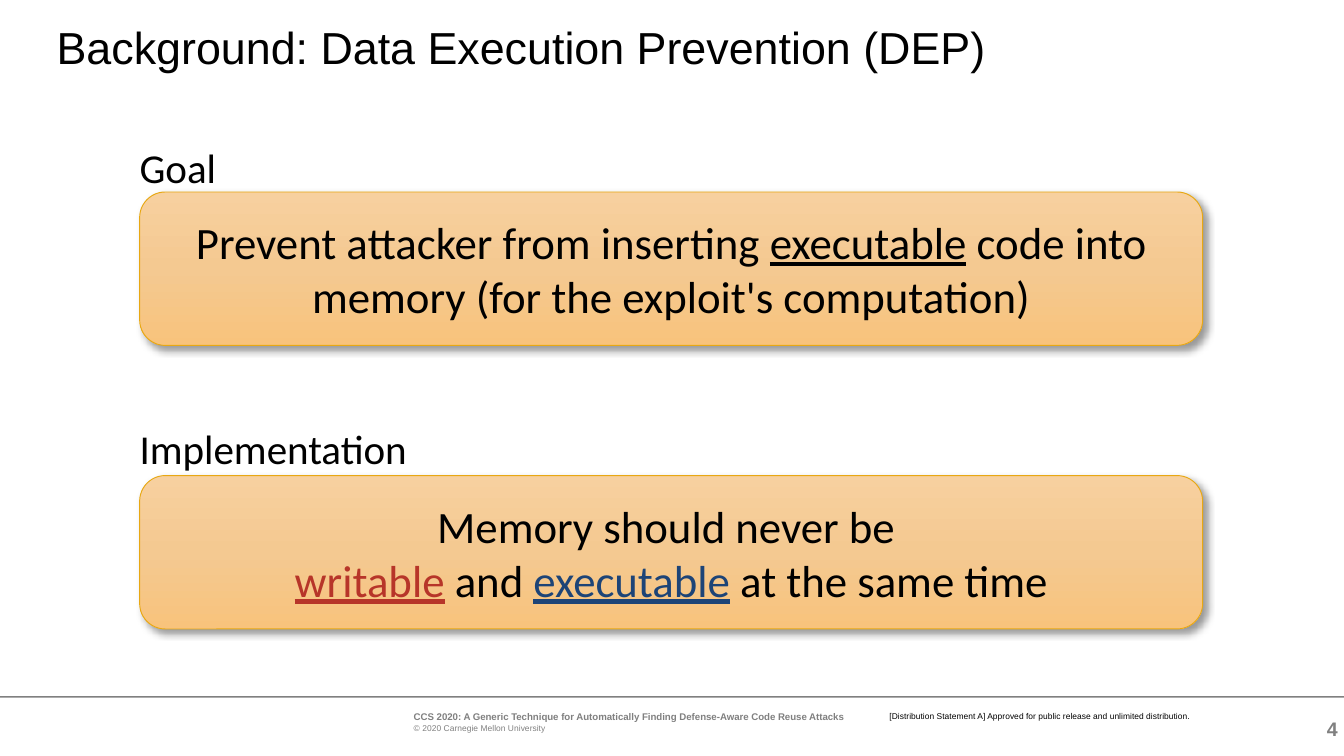
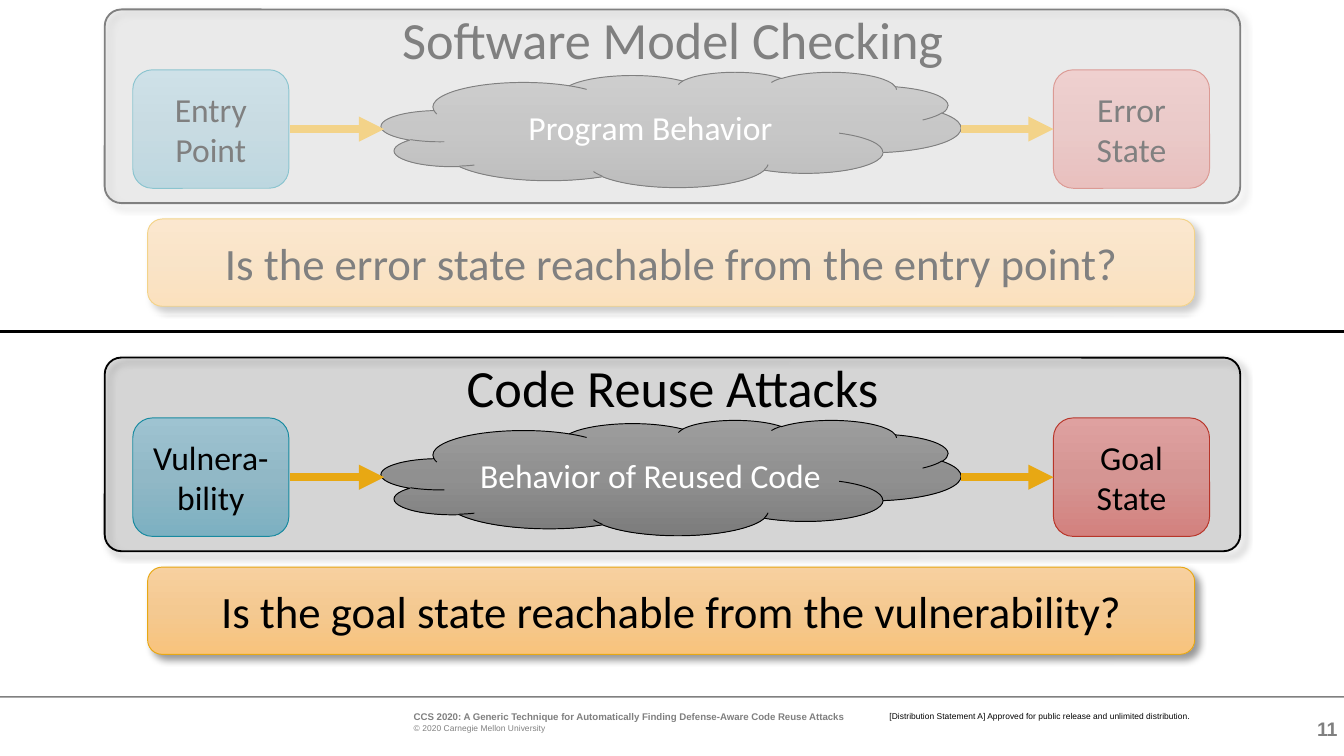
import pptx
import pptx.util
import pptx.dml.color
import pptx.enum.shapes
import pptx.enum.text
import pptx.oxml
import pptx.oxml.ns

Cm = pptx.util.Cm
Pt = pptx.util.Pt
RGB = pptx.dml.color.RGBColor
Kind = pptx.enum.shapes.MSO_SHAPE
Align = pptx.enum.text.PP_ALIGN
Anchor = pptx.enum.text.MSO_ANCHOR
qn = pptx.oxml.ns.qn
NS = pptx.oxml.ns.nsdecls("a")

BLACK = RGB(0x00, 0x00, 0x00)
WHITE = RGB(0xFF, 0xFF, 0xFF)
GREY = RGB(0x80, 0x80, 0x80)
GOLD = RGB(0xE8, 0xA8, 0x13)
TEAL = RGB(0x17, 0x8A, 0xA0)
RED = RGB(0xB7, 0x35, 0x29)
BLUE = RGB(0x1D, 0x44, 0x77)
SAND = (RGB(0xF7, 0xD0, 0x9F), RGB(0xF4, 0xC9, 0x91), RGB(0xF8, 0xC3, 0x7C))
AQUA = (RGB(0x9E, 0xC3, 0xD1), RGB(0x91, 0xB8, 0xC6), RGB(0x7C, 0xB0, 0xC1))
ROSE = (RGB(0xDF, 0xA1, 0xA0), RGB(0xD5, 0x95, 0x93), RGB(0xD3, 0x81, 0x7E))
SMOKE = (RGB(0x9D, 0x9D, 0x9D), RGB(0x90, 0x90, 0x90), RGB(0x7C, 0x7C, 0x7C))

WIDTH, HEIGHT = 25.4, 14.29


def write(shape, text, size=18, font="Calibri", color=BLACK, bold=False,
          align=Align.LEFT, anchor=Anchor.TOP, inset=(0.25, 0.13), space=None):
    frame = shape.text_frame
    frame.word_wrap = True
    frame.auto_size = pptx.enum.text.MSO_AUTO_SIZE.NONE
    frame.vertical_anchor = anchor
    frame.margin_left = frame.margin_right = Cm(inset[0])
    frame.margin_top = frame.margin_bottom = Cm(inset[1])
    lines = [[(text, {})]] if isinstance(text, str) else text
    for index, line in enumerate(lines):
        para = frame.add_paragraph() if index else frame.paragraphs[0]
        para.alignment = align
        if space:
            para.line_spacing = space
        for part, extra in line:
            if part == "\n":
                para.add_line_break()
                continue
            run = para.add_run()
            run.text = part
            run.font.name = font
            run.font.size = Pt(extra.get("size", size))
            run.font.bold = extra.get("bold", bold)
            run.font.underline = extra.get("under", False)
            run.font.color.rgb = extra.get("color", color)


def label(shapes, box, text, **style):
    item = shapes.add_textbox(*map(Cm, box))
    write(item, text, **style)


def tint(shape, shades):
    stops = "".join(f'<a:gs pos="{50000 * i}"><a:srgbClr val="{shade}"/></a:gs>'
                    for i, shade in enumerate(shades))
    shape.element.spPr.insert(2, pptx.oxml.parse_xml(
        f'<a:gradFill {NS} rotWithShape="1"><a:gsLst>{stops}</a:gsLst>'
        '<a:lin ang="5400000" scaled="0"/></a:gradFill>'))


def flat(shape, color, alpha=100):
    shape.fill.solid()
    shape.fill.fore_color.rgb = color
    if alpha < 100:
        node = shape.element.spPr.find(qn("a:solidFill"))[0]
        node.append(pptx.oxml.parse_xml(f'<a:alpha {NS} val="{alpha * 1000}"/>'))


def shade(shape):
    shape.element.spPr.find(qn("a:effectLst")).append(pptx.oxml.parse_xml(
        f'<a:outerShdw {NS} blurRad="{Pt(4)}" dist="{Pt(3)}" dir="2700000" '
        'algn="tl" rotWithShape="0"><a:srgbClr val="000000">'
        '<a:alpha val="40000"/></a:srgbClr></a:outerShdw>'))


def block(shapes, kind, box, fill, edge=None, width=0.5, alpha=100, drop=False):
    shape = shapes.add_shape(kind, *map(Cm, box))
    if isinstance(fill, RGB):
        flat(shape, fill, alpha)
    else:
        tint(shape, fill)
    if edge is None:
        shape.line.fill.background()
    else:
        shape.line.color.rgb = edge
        shape.line.width = Pt(width)
    shape.shadow.inherit = False
    if drop:
        shade(shape)
    return shape


def card(shapes, box, text, fill, edge, kind=Kind.ROUNDED_RECTANGLE, drop=False, **style):
    shape = block(shapes, kind, box, fill, edge, drop=drop)
    write(shape, text, align=Align.CENTER, anchor=Anchor.MIDDLE, **style)


def line(shapes, left, right, top, color, width, arrow=False):
    item = shapes.add_connector(pptx.enum.shapes.MSO_CONNECTOR.STRAIGHT,
                                Cm(left), Cm(top), Cm(right), Cm(top))
    item.line.color.rgb = color
    item.line.width = Pt(width)
    if arrow:
        item.element.spPr.find(qn("a:ln")).append(
            pptx.oxml.parse_xml(f'<a:tailEnd {NS} type="triangle"/>'))
    item.element.spPr.append(pptx.oxml.parse_xml(f"<a:effectLst {NS}/>"))


def footer(slide, number):
    shapes, top = slide.shapes, 13.44
    block(shapes, Kind.RECTANGLE, (0, 13.16, WIDTH, 0.03), GREY)
    label(shapes, (24.16, 13.39, 1.12, 0.76), str(number), size=10.5, font="Arial",
          color=GREY, bold=True, align=Align.RIGHT, anchor=Anchor.MIDDLE, inset=(0, 0))
    label(shapes, (7.82, top, 8.59, 0.41), [
        [("CCS 2020: A Generic Technique for Automatically Finding "
          "Defense-Aware Code Reuse Attacks", {"bold": True})],
        [("© 2020 Carnegie Mellon University", {"size": 4.5})],
    ], size=5.2, font="Arial", color=GREY, inset=(0, 0))
    label(shapes, (16.81, top, 5.82, 0.2),
          "[Distribution Statement A] Approved for public release "
          "and unlimited distribution.", size=4.5, font="Arial", inset=(0, 0))


def heading(slide, text):
    title = slide.shapes.title
    title.left, title.top, title.width, title.height = map(Cm, (1.07, 0.48, 21.59, 1.78))
    write(title, text, size=24, font="Arial", inset=(0, 0), space=0.9)


def topic(slide, box, gap, name, text, **style):
    left, top = box[:2]
    card(slide.shapes, box, text, SAND, GOLD, drop=True, size=24, **style)
    label(slide.shapes, (left, top - gap, 6.3, 0.94), name, size=22, inset=(0, 0))


def flow(slide, box, name, start, middle, end, question):
    left, top, width, height = box
    shapes = slide.shapes.add_group_shape().shapes
    panel = block(shapes, Kind.ROUNDED_RECTANGLE, box, BLACK, BLACK, 1, alpha=12, drop=True)
    panel.adjustments[0] = 0.086
    for text, shift, fill, edge in ((start, 0.53, AQUA, TEAL), (end, 17.93, ROSE, RED)):
        card(shapes, (left + shift, top + 1.14, 2.95, 2.24), text, fill, edge)
    card(shapes, (left + 5.23, top + 1.18, 10.95, 2.18), middle, SMOKE, BLACK,
         kind=Kind.CLOUD, color=WHITE)
    for tail, head in ((3.5, 5.28), (16.18, 17.93)):
        line(shapes, left + tail, left + head, top + 2.26, GOLD, 4.5, arrow=True)
    label(shapes, (left + 2.03, top - 0.18, width - 4.06, 1.9), name,
          size=28, align=Align.CENTER)
    card(slide.shapes, (left + 0.81, top + height + 0.3, 19.79, 1.65), question,
         SAND, GOLD, drop=True, size=24)


def defense(deck):
    slide = deck.slides.add_slide(deck.slide_layouts[5])
    footer(slide, 4)
    heading(slide, "Background: Data Execution Prevention (DEP)")
    under = {"under": True}
    topic(slide, (2.64, 8.99, 20.09, 2.9), 0.99, "Implementation", [[
        ("Memory should never be ", {}), ("\n", {}),
        ("writable", {"under": True, "color": RED}), (" and ", {}),
        ("executable", {"under": True, "color": BLUE}), (" at the same time", {}),
    ]], inset=(0.13, 0.13))
    topic(slide, (2.64, 3.63, 20.09, 2.9), 0.94, "Goal", [[
        ("Prevent attacker from inserting ", {}), ("executable", under),
        (" code into memory (for the exploit's computation)", {}),
    ]])


def compare(deck):
    slide = deck.slides.add_slide(deck.slide_layouts[6])
    footer(slide, 11)
    flow(slide, (1.98, 0.18, 21.46, 3.66), "Software Model Checking",
         [[("Entry", {})], [("Point", {})]], "Program Behavior", "Error State",
         "Is the error state reachable from the entry point?")
    flow(slide, (1.98, 6.76, 21.46, 3.66), "Code Reuse Attacks",
         "Vulnera-bility", "Behavior of Reused Code", "Goal State",
         "Is the goal state reachable from the vulnerability?")
    line(slide.shapes, 0, WIDTH, 6.27, BLACK, 1.5)
    block(slide.shapes, Kind.RECTANGLE, (0, 0, WIDTH, 5.97), WHITE, alpha=50)


def main():
    deck = pptx.Presentation()
    deck.slide_width, deck.slide_height = Cm(WIDTH), Cm(HEIGHT)
    defense(deck)
    compare(deck)
    deck.save("out.pptx")


if __name__ == "__main__":
    main()
